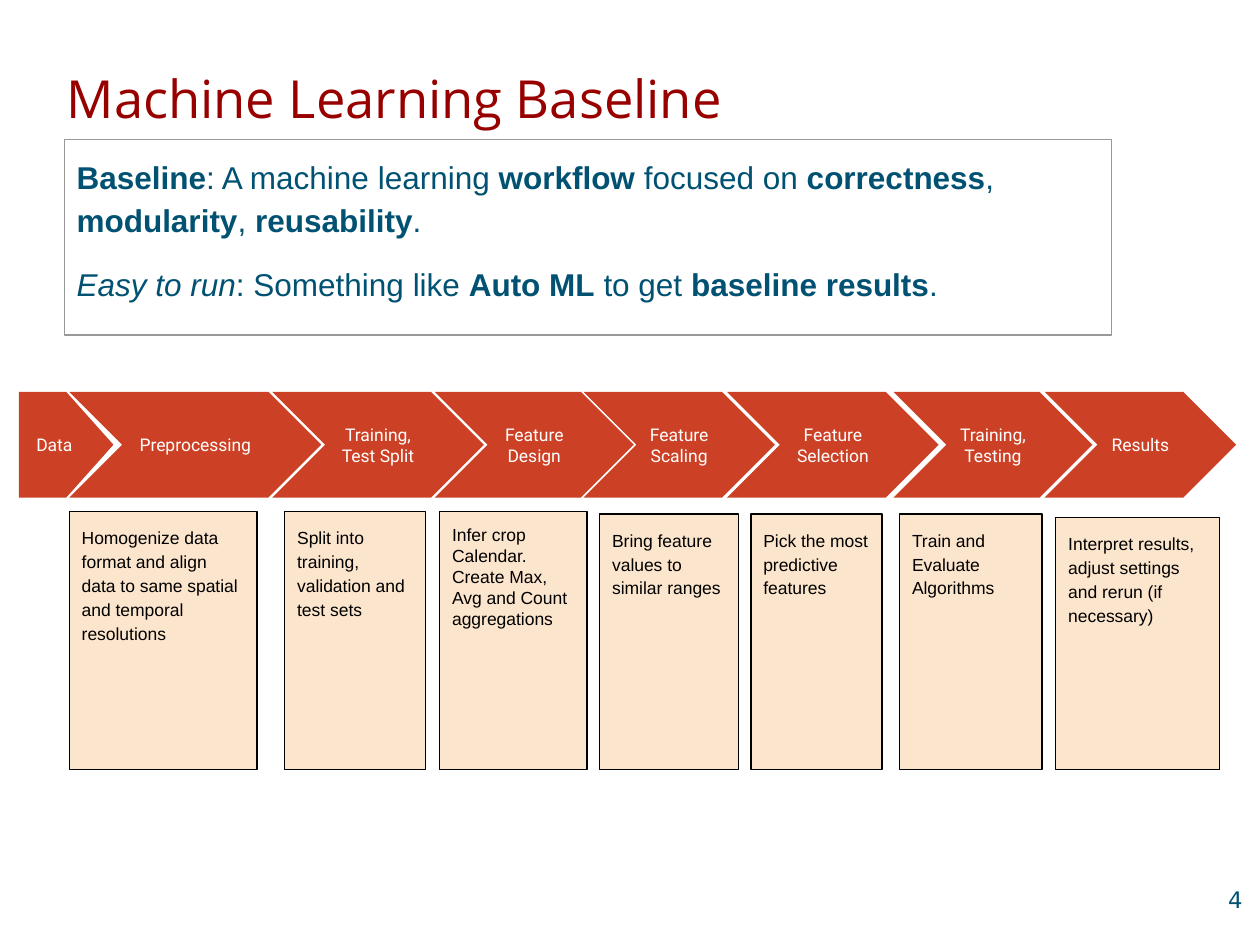
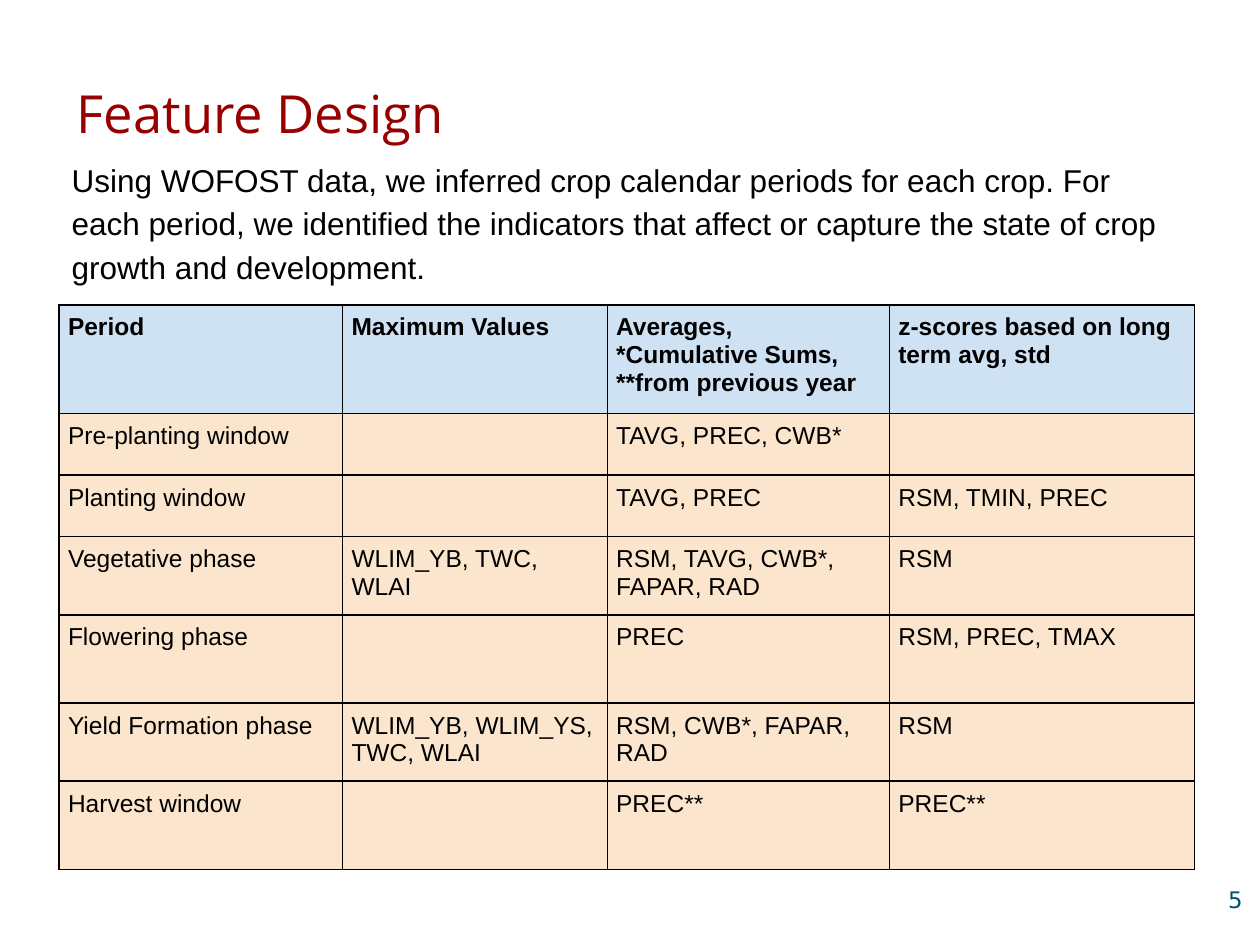
from lxml.etree import SubElement
from pptx import Presentation
from pptx.dml.color import RGBColor
from pptx.enum.shapes import MSO_SHAPE
from pptx.enum.text import MSO_ANCHOR, MSO_AUTO_SIZE, PP_ALIGN
from pptx.oxml.ns import qn
from pptx.util import Inches, Pt

COLORS = {
    "title": "980000", "accent": "005172", "frame": "999999", "arrow": "CC4125",
    "card": "FCE5CD", "header": "CFE2F3", "black": "000000", "white": "FFFFFF",
}

# Content: a paragraph is a string or a list of (text, style) spans
BASELINE = [
    [("Baseline", "b"), (": A machine learning ", ""), ("workflow ", "b"),
     ("focused on ", ""), ("correctness", "b"), (", ", ""), ("modularity", "b"),
     (", ", ""), ("reusability", "b"), (".", "")],
    [("Easy to run", "i"), (": Something like ", ""), ("Auto ML", "b"),
     (" to get ", ""), ("baseline results", "b"), (".", "")],
]

# Label, arrow left and width, then card text, left, top, width and line spacing
STEPS = [
    ("Data", 0.15, 0.75, None),
    ("Preprocessing", 0.55, 2.0,
     ("Homogenize data format and align data to same spatial and temporal resolutions",
      0.55, 4.06, 1.49, 1.14)),
    ("Training, Test Split", 2.16, 1.68,
     ("Split into training, validation and test sets", 2.26, 4.06, 1.12, 1.14)),
    ("Feature Design", 3.45, 1.58,
     ("Infer crop Calendar. Create Max, Avg and Count aggregations",
      3.49, 4.06, 1.17, 1.0)),
    ("Feature Scaling", 4.63, 1.52,
     ("Bring feature values to similar ranges", 4.76, 4.08, 1.1, 1.14)),
    ("Feature Selection", 5.77, 1.68,
     ("Pick the most predictive features", 5.96, 4.08, 1.04, 1.14)),
    ("Training, Testing", 7.09, 1.58,
     ("Train and Evaluate Algorithms", 7.14, 4.08, 1.13, 1.14)),
    ("Results", 8.29, 1.52,
     ("Interpret results, adjust settings and rerun (if necessary)",
      8.38, 4.11, 1.3, 1.14)),
]
ARROW_TOP, ARROW_HEIGHT, CARD_BOTTOM = 3.11, 0.84, 6.11

INTRO = ("Using WOFOST data, we inferred crop calendar periods for each crop. "
         "For each period, we identified the indicators that affect or capture "
         "the state of crop growth and development.")
PERIODS = [
    (["Period"], ["Maximum Values"],
     ["Averages,", "*Cumulative Sums,", "**from previous year"],
     ["z-scores based on long term avg, std"]),
    (["Pre-planting window"], [""], ["TAVG, PREC, CWB*"], [""]),
    (["Planting window"], [""], ["TAVG, PREC"], ["RSM, TMIN, PREC"]),
    (["Vegetative phase"], ["WLIM_YB, TWC, WLAI"],
     ["RSM, TAVG, CWB*, FAPAR, RAD"], ["RSM"]),
    (["Flowering phase"], [""], ["PREC"], ["RSM, PREC, TMAX"]),
    (["Yield Formation phase"], ["WLIM_YB, WLIM_YS, TWC, WLAI"],
     ["RSM, CWB*, FAPAR, RAD"], ["RSM"]),
    (["Harvest window"], [""], ["PREC**"], ["PREC**"]),
]
COLUMN_WIDTHS = [2.25, 2.1, 2.24, 2.42]
ROW_HEIGHTS = [0.86, 0.49, 0.49, 0.62, 0.7, 0.62, 0.7]


def color(name):
    return RGBColor.from_string(COLORS[name])


def write(frame, paragraphs, *, size, font="Arial", ink="black", bold=False,
          align=PP_ALIGN.LEFT, spacing=1.0, gap=0):
    """Fill a text frame with formatted paragraphs."""
    for index, content in enumerate(paragraphs):
        para = frame.add_paragraph() if index else frame.paragraphs[0]
        para.alignment, para.line_spacing = align, spacing
        para.space_before = Pt(gap if index else 0)
        para.font.size = Pt(size)
        spans = [(content, "")] if isinstance(content, str) else content
        for text, style in spans:
            if not text:
                continue
            span = para.add_run()
            span.text = text
            span.font.name, span.font.size = font, Pt(size)
            span.font.color.rgb = color(ink)
            span.font.bold = bold or style == "b"
            span.font.italic = style == "i"


def set_frame(frame, insets=(0.1, 0.1, 0.1, 0.1), anchor=MSO_ANCHOR.TOP):
    frame.word_wrap = True
    frame.auto_size = MSO_AUTO_SIZE.NONE
    frame.vertical_anchor = anchor
    (frame.margin_left, frame.margin_top,
     frame.margin_right, frame.margin_bottom) = map(Inches, insets)
    return frame


def add_box(page, kind, place, paragraphs, fill=None, line=None,
            anchor=MSO_ANCHOR.TOP, **text_format):
    box = page.shapes.add_shape(kind, *map(Inches, place))
    box.shadow.inherit = False
    if fill:
        box.fill.solid()
        box.fill.fore_color.rgb = color(fill)
    else:
        box.fill.background()
    if line:
        box.line.color.rgb = color(line)
        box.line.width = Pt(0.75)
    else:
        box.line.fill.background()
    write(set_frame(box.text_frame, anchor=anchor), paragraphs, **text_format)


def add_text(page, place, paragraphs, **text_format):
    box = page.shapes.add_textbox(*map(Inches, place))
    write(set_frame(box.text_frame), paragraphs, **text_format)


def add_page(deck, title, place, number):
    """Title-only slide with the shared title style and page number."""
    page = deck.slides.add_slide(deck.slide_layouts[5])
    holder = page.shapes.title
    holder.left, holder.top, holder.width, holder.height = map(Inches, place)
    write(set_frame(holder.text_frame, (0.02, 0, 0.1, 0.35)), [title],
          size=30, font="Open Sans", ink="title", spacing=1.33)
    add_text(page, (9.36, 6.93, 0.6, 0.57), [str(number)], size=13,
             font="DejaVu Sans", ink="accent", align=PP_ALIGN.RIGHT)
    return page


def add_borders(cell):
    properties = cell._tc.get_or_add_tcPr()
    for side in ("lnL", "lnR", "lnT", "lnB"):
        border = SubElement(properties, qn(f"a:{side}"), w=str(Pt(1)))
        fill = SubElement(border, qn("a:solidFill"))
        SubElement(fill, qn("a:srgbClr"), val=COLORS["black"])


def build_baseline(deck):
    page = add_page(deck, "Machine Learning Baseline", (0.51, 0.36, 5.71, 0.66), 4)
    add_box(page, MSO_SHAPE.RECTANGLE, (0.51, 1.11, 8.31, 1.55), BASELINE,
            line="frame", size=18, ink="accent", spacing=1.14, gap=12)

    # Workflow arrows with a card below each step
    for label, left, width, card in STEPS:
        kind = MSO_SHAPE.CHEVRON if card else MSO_SHAPE.PENTAGON
        add_box(page, kind, (left, ARROW_TOP, width, ARROW_HEIGHT), [label],
                fill="arrow", anchor=MSO_ANCHOR.MIDDLE, size=10, font="Roboto",
                ink="white", align=PP_ALIGN.CENTER)
        if card:
            text, card_left, top, card_width, spacing = card
            add_box(page, MSO_SHAPE.RECTANGLE,
                    (card_left, top, card_width, CARD_BOTTOM - top), [text],
                    fill="card", line="black", size=10, spacing=spacing)


def build_features(deck):
    page = add_page(deck, "Feature Design", (0.59, 0.48, 6.75, 0.72), 5)
    add_text(page, (0.47, 1.13, 9, 1.18), [INTRO], size=18, spacing=1.15)

    # Indicators per crop calendar period
    table = page.shapes.add_table(
        len(PERIODS), len(COLUMN_WIDTHS), Inches(0.47), Inches(2.42),
        Inches(sum(COLUMN_WIDTHS)), Inches(sum(ROW_HEIGHTS))).table
    for column, width in zip(table.columns, COLUMN_WIDTHS):
        column.width = Inches(width)
    for row_index, (row, height) in enumerate(zip(table.rows, ROW_HEIGHTS)):
        row.height = Inches(height)
        is_header = row_index == 0
        for cell, paragraphs in zip(row.cells, PERIODS[row_index]):
            add_borders(cell)
            cell.fill.solid()
            cell.fill.fore_color.rgb = color("header" if is_header else "card")
            cell.margin_left = cell.margin_right = Inches(0.07)
            cell.margin_top = cell.margin_bottom = Inches(0.07)
            write(cell.text_frame, paragraphs, size=14, bold=is_header)


def main():
    deck = Presentation()
    deck.slide_width, deck.slide_height = Inches(10), Inches(7.5)
    build_baseline(deck)
    build_features(deck)
    deck.save("out.pptx")


if __name__ == "__main__":
    main()
